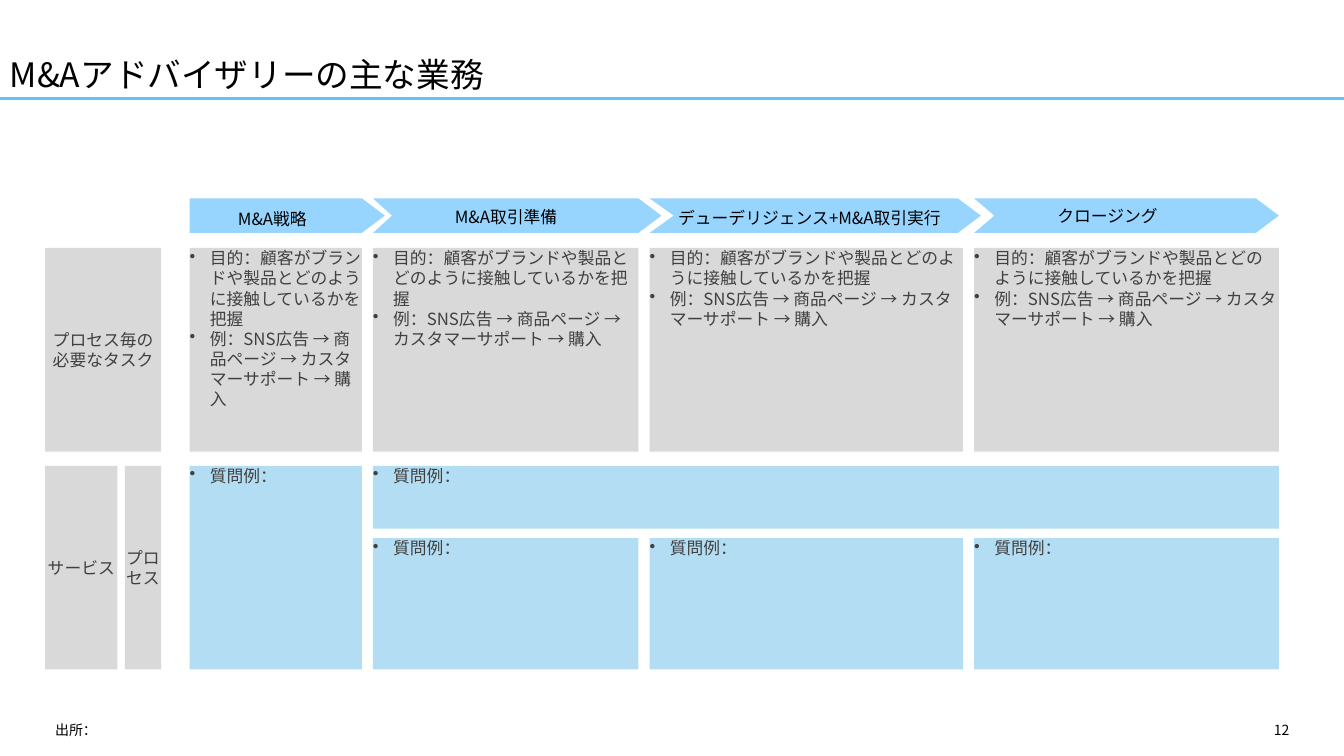
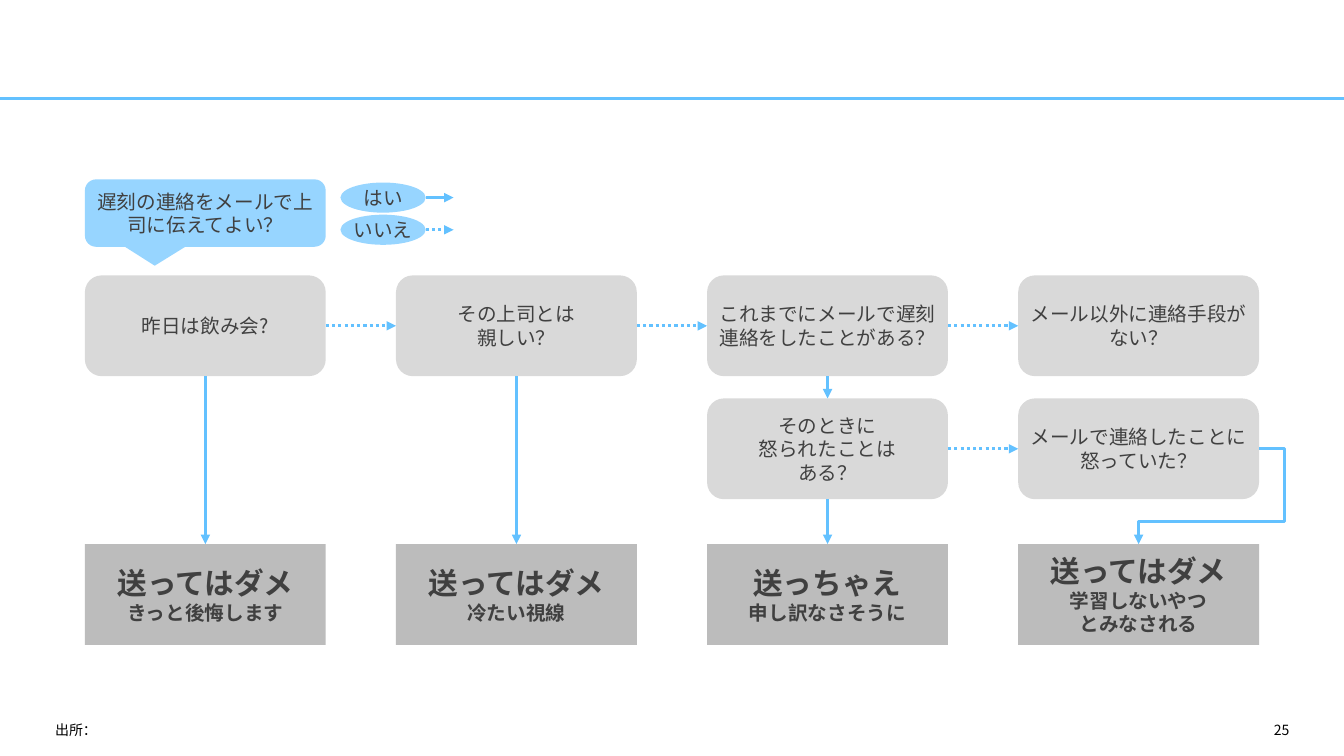
from dataclasses import dataclass

from lxml.etree import SubElement
from pptx import Presentation
from pptx.dml.color import RGBColor
from pptx.enum.dml import MSO_LINE
from pptx.enum.shapes import MSO_CONNECTOR as Connector, MSO_SHAPE as Shape
from pptx.enum.text import MSO_ANCHOR as Anchor, PP_ALIGN as Align
from pptx.oxml.ns import qn
from pptx.util import Cm, Pt


@dataclass(frozen=True)
class Theme:
    font: str = "Noto Sans CJK JP"
    black: str = "000000"
    text: str = "404040"
    accent: str = "63C1FF"
    arrow: str = "97D5FF"
    service: str = "B3DDF2"
    gray: str = "D9D9D9"
    dark: str = "595959"
    title_size: float = 24
    verdict_size: float = 21.2
    flow_size: float = 14
    body_size: float = 12
    footer_size: float = 10
    line_width: float = 2.25


THEME = Theme()
WIDTH, HEIGHT = 33.87, 19.05
TOP, LEFT, BOTTOM, RIGHT = range(4)


def write_text(shape, *lines, size=THEME.body_size, first_size=None, color=THEME.text,
               bold=False, align=Align.CENTER, anchor=Anchor.MIDDLE,
               inset=(0, 0), bullet=False, spacing=None):
    frame = shape.text_frame
    frame.word_wrap = True
    frame.vertical_anchor = anchor
    frame.margin_left = frame.margin_right = Cm(inset[0])
    frame.margin_top = frame.margin_bottom = Cm(inset[1])
    for index, line in enumerate(lines):
        paragraph = frame.add_paragraph() if index else frame.paragraphs[0]
        paragraph.alignment = align
        if spacing:
            paragraph.line_spacing = spacing
        if bullet:
            properties = paragraph._p.get_or_add_pPr()
            properties.set("marL", str(Cm(0.51)))
            properties.set("indent", str(-Cm(0.51)))
            SubElement(properties, qn("a:buChar"), char="•")
        run = paragraph.add_run()
        run.text = line
        font = run.font
        font.size = Pt(first_size if first_size and index == 0 else size)
        font.bold = bold
        font.color.rgb = RGBColor.from_string(color)
        font.name = THEME.font
        SubElement(run._r.get_or_add_rPr(), qn("a:ea"), typeface=THEME.font)


class Deck:
    def __init__(self, theme):
        self.theme = theme
        self.presentation = Presentation()
        self.presentation.slide_width = Cm(WIDTH)
        self.presentation.slide_height = Cm(HEIGHT)
        self.slide = None

    def new_slide(self, number, title=None):
        layout = self.presentation.slide_layouts[6]
        self.slide = self.presentation.slides.add_slide(layout)
        self.line(0, 2.49, WIDTH, 2.49)
        if title:
            self.label(0, 0, WIDTH, 2.51, title, size=self.theme.title_size,
                       align=Align.LEFT, anchor=Anchor.BOTTOM,
                       inset=(0.25, 0.13), spacing=0.9)
        footer = dict(size=self.theme.footer_size, inset=(0.25, 0.13))
        self.label(1.14, 18.06, 21.51, 0.61, "出所：", align=Align.LEFT, **footer)
        self.label(23.93, 18.06, 8.81, 0.61, str(number), align=Align.RIGHT, **footer)

    def label(self, left, top, width, height, text, anchor=Anchor.TOP, **text_format):
        box = self.slide.shapes.add_textbox(Cm(left), Cm(top), Cm(width), Cm(height))
        write_text(box, text, color=self.theme.black, anchor=anchor, **text_format)

    def paint(self, shape, fill, alpha=None):
        shape.shadow.inherit = False
        shape.line.fill.background()
        shape.fill.solid()
        shape.fill.fore_color.rgb = RGBColor.from_string(fill)
        if alpha:
            color = shape.element.spPr.find(qn("a:solidFill"))[0]
            SubElement(color, qn("a:alpha"), val=str(alpha * 1000))

    def box(self, left, top, width, height, *lines, kind=Shape.RECTANGLE,
            fill=THEME.gray, alpha=None, **text_format):
        shape = self.slide.shapes.add_shape(kind, Cm(left), Cm(top), Cm(width), Cm(height))
        self.paint(shape, fill, alpha)
        write_text(shape, *lines, **text_format)
        return shape

    def bullets(self, left, top, width, height, *lines, fill=THEME.service):
        self.box(left, top, width, height, *lines, fill=fill, bullet=True,
                 align=Align.LEFT, anchor=Anchor.TOP)

    def process_arrow(self, left, tip, top, height, notch):
        shoulder, middle, bottom = tip - 0.58, top + height / 2, top + height
        outline = [(shoulder, top), (tip, middle), (shoulder, bottom), (left, bottom)]
        if notch:
            outline.append((left + notch, middle))
        builder = self.slide.shapes.build_freeform(Cm(left), Cm(top))
        builder.add_line_segments([(Cm(x), Cm(y)) for x, y in outline], close=True)
        self.paint(builder.convert_to_shape(), self.theme.arrow)

    def line(self, x1, y1, x2, y2, kind=Connector.STRAIGHT, arrow=False, dotted=False):
        connector = self.slide.shapes.add_connector(kind, Cm(x1), Cm(y1), Cm(x2), Cm(y2))
        connector.line.color.rgb = RGBColor.from_string(self.theme.accent)
        connector.line.width = Pt(self.theme.line_width)
        if dotted:
            connector.line.dash_style = MSO_LINE.ROUND_DOT
        if arrow:
            SubElement(connector.line._get_or_add_ln(), qn("a:tailEnd"), type="triangle")
        SubElement(connector.element.spPr, qn("a:effectLst"))
        return connector

    def link(self, source, source_site, target, target_site, bends=(), dotted=False):
        kind = Connector.ELBOW if bends else Connector.STRAIGHT
        connector = self.line(0, 0, 0, 0, kind=kind, arrow=True, dotted=dotted)
        connector.begin_connect(source, source_site)
        connector.end_connect(target, target_site)
        if bends:
            geometry = connector.element.spPr.find(qn("a:prstGeom"))
            geometry.set("prst", "bentConnector4")
            guides = geometry.find(qn("a:avLst"))
            for index, bend in enumerate(bends, 1):
                SubElement(guides, qn("a:gd"), name=f"adj{index}",
                           fmla=f"val {round(bend * 100000)}")


def build_advisory(deck):
    deck.new_slide(12, "M&Aアドバイザリーの主な業務")
    row_height, task_top, service_top = 5.13, 6.25, 11.74
    band_height, band_gap, column_gap = 1.58, 0.24, 0.28
    split_top = service_top + band_height + band_gap
    split_height = row_height - band_height - band_gap
    tasks = ("目的：顧客がブランドや製品とどのように接触しているかを把握",
             "例：SNS広告 → 商品ページ → カスタマーサポート → 購入")
    question = "質問例："

    deck.box(1.14, task_top, 2.92, row_height, "プロセス毎の必要なタスク")
    deck.box(1.14, service_top, 1.82, row_height, "サービス")
    deck.box(3.15, service_top, 0.91, row_height, "プロセス")

    stages = [
        ("M&A戦略", 4.34, 0.58, 0, (4.78, 5.26, 4.17)),
        ("M&A取引準備", 6.69, 0.58, 0.48, (10.67, 5.21, 4.17)),
        ("デューデリジェンス+M&A取引実行", 7.9, 0.45, 0.61, (16.74, 5.23, 7.32)),
        ("クロージング", 7.68, 0, 0.51, (25.58, 5.18, 4.67)),
    ]
    left = first_left = 4.78
    for name, width, overhang, notch, (label_left, label_top, label_width) in stages:
        deck.process_arrow(left, left + width + overhang, 5, 0.87, notch)
        deck.label(label_left, label_top, label_width, 0.51, name)
        deck.bullets(left, task_top, width, row_height, *tasks, fill=deck.theme.gray)
        if left == first_left:
            deck.bullets(left, service_top, width, row_height, question)
        else:
            deck.bullets(left, split_top, width, split_height, question)
        left += width + column_gap

    band_left = first_left + stages[0][1] + column_gap
    deck.bullets(band_left, service_top, left - column_gap - band_left, band_height, question)


def build_decision_flow(deck):
    deck.new_slide(25)
    theme = deck.theme
    width, height = 6.07, 2.54
    columns = [2.14 + 7.84 * index for index in range(4)]
    upper_top, lower_top, verdict_top = 6.94, 10.04, 13.71

    def question(column, top, *lines):
        return deck.box(columns[column], top, width, height, *lines,
                        kind=Shape.ROUNDED_RECTANGLE, size=theme.flow_size)

    verdicts = [
        deck.box(left, verdict_top, width, height, *lines, fill=theme.dark, alpha=40,
                 size=theme.flow_size, first_size=theme.verdict_size, bold=True)
        for left, lines in zip(columns, [
            ("送ってはダメ", "きっと後悔します"),
            ("送ってはダメ", "冷たい視線"),
            ("送っちゃえ", "申し訳なさそうに"),
            ("送ってはダメ", "学習しないやつ", "とみなされる"),
        ])
    ]
    upper = [question(column, upper_top, *lines) for column, lines in enumerate([
        ("昨日は飲み会?",),
        ("その上司とは", "親しい？"),
        ("これまでにメールで遅刻連絡をしたことがある？",),
        ("メール以外に連絡手段がない？",),
    ])]
    scolded = question(2, lower_top, "そのときに", "怒られたことは", "ある？")
    angry = question(3, lower_top, "メールで連絡したことに怒っていた？")

    for source, target in [(upper[0], verdicts[0]), (upper[1], verdicts[1]),
                           (upper[2], scolded), (scolded, verdicts[2])]:
        deck.link(source, BOTTOM, target, TOP)
    for source, target in [*zip(upper, upper[1:]), (scolded, angry)]:
        deck.link(source, RIGHT, target, LEFT, dotted=True)
    deck.link(angry, RIGHT, verdicts[3], TOP, bends=(-0.21, 0.76))

    callout = deck.box(columns[0], 4.52, width, 1.7, "遅刻の連絡をメールで上司に伝えてよい？",
                       kind=Shape.ROUNDED_RECTANGULAR_CALLOUT, fill=theme.arrow,
                       size=theme.flow_size)
    callout.adjustments[0] = -0.21
    callout.adjustments[1] = 0.78

    oval_left, oval_width, oval_height = 8.58, 2.15, 0.76
    oval_right = oval_left + oval_width
    for index, answer in enumerate(["はい", "いいえ"]):
        top = 4.6 + 0.81 * index
        middle = top + oval_height / 2
        deck.box(oval_left, top, oval_width, oval_height, answer, kind=Shape.OVAL,
                 fill=theme.arrow, size=theme.flow_size)
        deck.line(oval_right, middle, oval_right + 0.7, middle,
                  arrow=True, dotted=index == 1)


def main():
    deck = Deck(THEME)
    build_advisory(deck)
    build_decision_flow(deck)
    deck.presentation.save("out.pptx")


if __name__ == "__main__":
    main()
